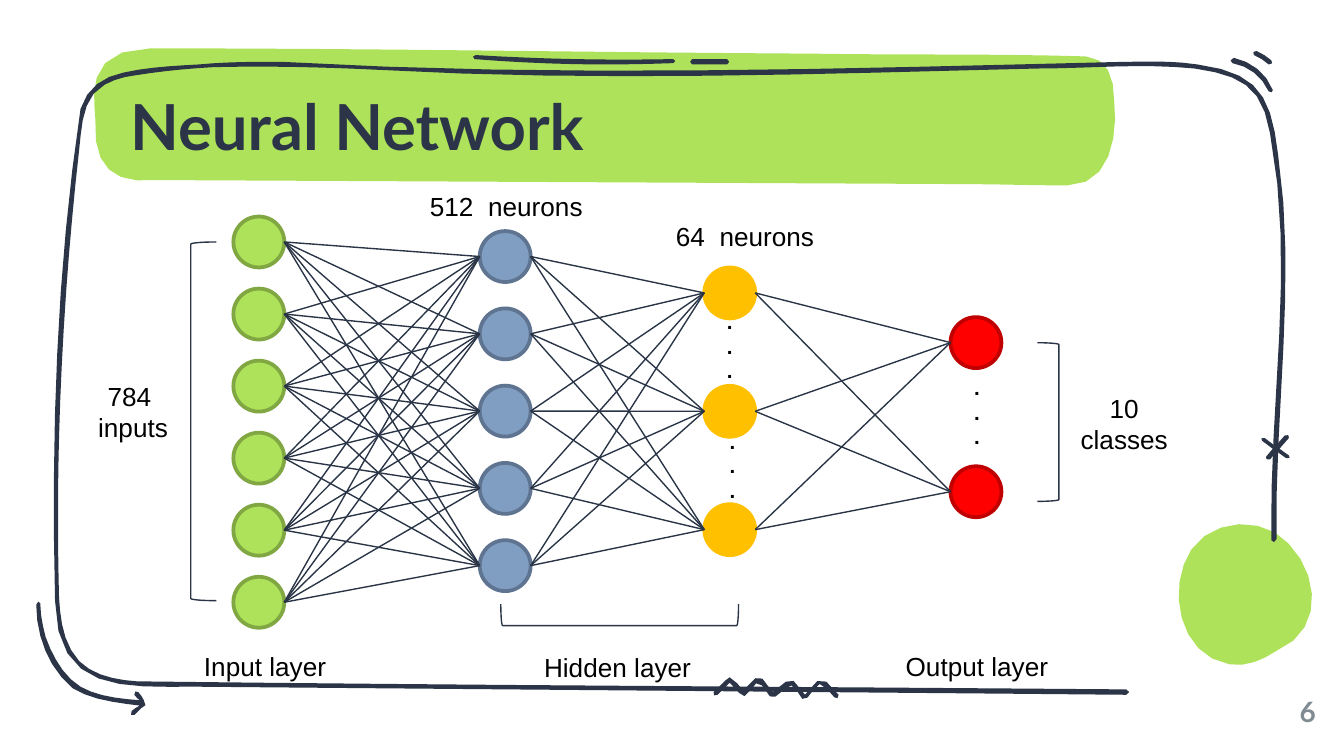
from collections import namedtuple
from itertools import pairwise, product
from math import dist

from pptx import Presentation
from pptx.dml.color import RGBColor
from pptx.enum.shapes import MSO_CONNECTOR as Connector, MSO_SHAPE as Shape
from pptx.enum.text import MSO_ANCHOR as Anchor, PP_ALIGN as Align
from pptx.oxml.ns import qn
from pptx.util import Pt
from lxml.etree import SubElement

Box = namedtuple("Box", "left top width height")

GREEN, INK, WIRE = "AEE25A", "2B3547", "293446"
STEP = 0.72  # points per unit of the outlines below

# Outlines: two numbers are a corner, six are a Bezier curve
BLOB = [(967, 414), (955, 390, 918, 381, 896, 400), (871, 422, 866, 474, 902, 490),
        (914, 495, 926, 493, 938, 489), (975, 484, 984, 444, 967, 414)]
BANNER = [(829, 74), (829, 58, 824, 43, 808, 42), (741, 40, 675, 41, 608, 40),
          (435, 39, 285, 36, 112, 36), (60, 36, 71, 77, 71, 89),
          (69, 125, 85, 137, 116, 134), (316, 135), (715, 137),
          (742, 137, 768, 138, 794, 138), (826, 138, 832, 102, 829, 74)]
BORDER = [(951, 115), (946, 72, 937, 54, 891, 48), (871, 45, 857, 46, 837, 46),
          (628, 51, 418, 58, 209, 46), (189, 46, 168, 46, 148, 48),
          (129, 49, 110, 50, 92, 54), (77, 57, 65, 65, 60, 81),
          (42, 201, 38, 325, 41, 447), (42, 516, 92, 511, 145, 511),
          (375, 513, 609, 515, 838, 517), (841, 517, 841, 513, 838, 513),
          (593, 511, 347, 510, 102, 507), (87, 506, 70, 503, 59, 492),
          (47, 479, 45, 461, 44, 445), (43, 405, 43, 365, 44, 325),
          (46, 253, 51, 182, 59, 111), (61, 94, 61, 72, 78, 63),
          (85, 59, 93, 57, 101, 56), (120, 53, 140, 51, 159, 50),
          (200, 49, 241, 50, 282, 52), (445, 61, 609, 55, 772, 51),
          (812, 51, 848, 47, 889, 51), (922, 56, 939, 63, 945, 99),
          (964, 199, 944, 299, 946, 402), (946, 405, 950, 403, 950, 401),
          (948, 306, 965, 210, 951, 115)]
LONG_DASH = [(501, 44), (452, 45, 403, 44, 354, 41), (352, 40, 351, 44, 353, 44),
             (402, 48, 451, 49, 501, 47), (503, 47, 503, 44, 501, 44)]
SHORT_DASH = [(541, 44), (515, 44), (513, 44, 513, 48, 515, 48), (541, 48),
              (543, 48, 543, 44, 541, 44)]
LONG_ARC = [(947, 67), (942, 54, 931, 46, 918, 43), (915, 43, 915, 47, 917, 47),
            (929, 49, 939, 57, 944, 68), (945, 70, 948, 68, 947, 67)]
SHORT_ARC = [(946, 45), (943, 42, 939, 40, 935, 38), (933, 37, 931, 40, 933, 41),
             (937, 43, 941, 45, 944, 48), (946, 49, 948, 46, 946, 45)]
ARROW = [(107, 521), (106, 519, 105, 517, 103, 515), (102, 513, 99, 515, 100, 517),
         (101, 518, 103, 521, 104, 521), (89, 520, 72, 518, 60, 511),
         (47, 503, 39, 488, 34, 474), (32, 466, 30, 458, 30, 449),
         (30, 447, 27, 447, 27, 450), (27, 473, 36, 497, 54, 512),
         (68, 521, 88, 523, 104, 525), (101, 526, 100, 528, 98, 529),
         (96, 531, 98, 534, 100, 532), (105, 527), (108, 526, 110, 524, 107, 521)]
CROSS = [(959, 339), (952, 334), (954, 331, 957, 329, 959, 326),
         (960, 325, 958, 322, 956, 324), (949, 332), (941, 326),
         (939, 325, 937, 327, 939, 328), (947, 334), (942, 340),
         (941, 341, 943, 343, 945, 342), (950, 336), (957, 341),
         (959, 342, 961, 340, 959, 339)]
ZIGZAG = [(624, 517), (612, 503, 611, 501, 599, 517), (587, 500, 589, 505, 575, 515),
          (564, 500, 566, 500, 553, 514), (551, 510, 547, 507, 543, 504),
          (541, 504, 534, 513, 531, 515), (530, 517, 532, 519, 534, 517), (543, 508),
          (550, 512, 551, 521, 554, 518), (559, 513), (561, 510, 564, 505, 567, 510),
          (576, 523, 573, 521, 585, 512), (588, 507, 590, 511, 593, 514), (597, 520),
          (600, 524, 606, 510, 610, 509), (613, 508, 618, 517, 621, 519),
          (622, 521, 625, 519, 624, 517)]
DOODLES = [(BLOB, GREEN, 345.3), (BANNER, GREEN, 0)] + [
    (outline, INK, 0) for outline in (BORDER, LONG_DASH, SHORT_DASH, LONG_ARC,
                                      ARROW, CROSS, ZIGZAG, SHORT_ARC)]

# Layers: left, top, gap between neurons, count, fill, line
NEURON = 27.3
LAYERS = [(80, 18, 38.6, 6, GREEN, "81A743"),
          (212, 25.8, 41.4, 5, "809DC2", "5F7490"),
          (332.3, 45.3, 63.4, 3, "FFC000", "FFC000"),
          (464.2, 71.9, 79.9, 2, "FF0000", "C00000")]
BRACKETS = [(Box(281.2, 167.7, 11.5, 127.4), 90),
            (Box(510.8, 85.6, 11.5, 85), 0),
            (Box(57.2, 31.6, 13.7, 192.2), 180)]
LABELS = [("Hidden layer", Box(239.4, 247.6, 93.6, 24.5), {}),
          ("Input layer", Box(57.2, 246.9, 80.6, 24.5), {}),
          ("Output layer", Box(433.1, 246.9, 91.4, 24.5), {}),
          ("10 classes", Box(520.2, 108.6, 74.2, 41), {"align": Align.CENTER, "wrap": True}),
          ("784 \ninputs", Box(0.4, 102.2, 51.8, 41), {"align": Align.CENTER}),
          ("512  neurons", Box(178.2, 0.6, 100.1, 24.5), {}),
          ("64  neurons", Box(310, 16.5, 92.9, 24.5), {})]
DOTS = [(469.8, 99.3), (337.3, 64), (338.8, 128.1)]


def color(code):
    return RGBColor.from_string(code)


def lengths(box):
    return [Pt(value) for value in box]


def inside(outer, box):
    return Box(outer.left + box.left, outer.top + box.top, box.width, box.height)


def paint(shape, fill=None, line=None, width=0.75):
    shape.shadow.inherit = False
    for part, code in ((shape.fill, fill), (shape.line.fill, line)):
        if code:
            part.solid()
            part.fore_color.rgb = color(code)
        else:
            part.background()
    if line:
        shape.line.width = Pt(width)


def add_text(page, text, box, size=14, name="Arial", code="000000", bold=False,
             align=Align.LEFT, wrap=False, inset=None, anchor=Anchor.TOP, spacing=1.0):
    frame = page.shapes.add_textbox(*lengths(box)).text_frame
    frame.word_wrap, frame.vertical_anchor = wrap, anchor
    if inset is not None:
        for side in ("left", "top", "right", "bottom"):
            setattr(frame, f"margin_{side}", Pt(inset))
    frame.text = text
    for para in frame.paragraphs:
        para.alignment, para.line_spacing = align, spacing
        for span in para.runs:
            for key, value in {"size": Pt(size), "name": name, "bold": bold}.items():
                setattr(span.font, key, value)
            span.font.color.rgb = color(code)


def trace(outline):
    """Turn corners and Bezier curves into points, with more on longer curves."""
    points = [outline[0]]
    for segment in outline[1:]:
        if len(segment) == 2:
            points.append(segment)
            continue
        knots = [points[-1], segment[:2], segment[2:4], segment[4:]]
        parts = 2 + min(6, int(dist(knots[0], knots[3]) // 15))
        for part in range(1, parts + 1):
            t = part / parts
            weights = ((1 - t) ** 3, 3 * t * (1 - t) ** 2, 3 * t * t * (1 - t), t ** 3)
            points.append(tuple(sum(w * knot[axis] for w, knot in zip(weights, knots))
                                for axis in (0, 1)))
    return [(Pt(x * STEP), Pt(y * STEP)) for x, y in points]


def add_backdrop(page, box):
    for outline, fill, angle in DOODLES:
        first, *rest = trace(outline)
        builder = page.shapes.build_freeform(*first)
        builder.add_line_segments(rest, close=True)
        doodle = builder.convert_to_shape(Pt(box.left), Pt(box.top))
        doodle.rotation = angle
        paint(doodle, fill)


def add_wire(page, start, end):
    wire = page.shapes.add_connector(Connector.STRAIGHT, *lengths(start + end))
    wire.line.color.rgb = color(WIRE)
    wire.line.width = Pt(0.75)
    SubElement(wire._element.spPr, qn("a:effectLst"))


def add_network(page, box):
    group = page.shapes.add_group_shape()

    # Neurons
    for left, top, gap, count, fill, line in LAYERS:
        for row in range(count):
            spot = inside(box, Box(left, top + row * gap, NEURON, NEURON))
            paint(group.shapes.add_shape(Shape.OVAL, *lengths(spot)), fill, line, 2)

    # Wires from every neuron to every neuron of the next layer
    def ports(layer, shift):
        left, top, gap, count = layer[:4]
        return [(box.left + left + shift, box.top + top + NEURON / 2 + row * gap)
                for row in range(count)]

    for source, target in pairwise(LAYERS):
        for start, end in product(ports(source, NEURON), ports(target, 0)):
            add_wire(group, start, end)

    # Brackets
    for place, angle in BRACKETS:
        bracket = group.shapes.add_shape(Shape.RIGHT_BRACKET, *lengths(inside(box, place)))
        bracket.rotation = angle
        paint(bracket, line=WIRE)

    # Labels and dots
    for text, place, style in LABELS:
        add_text(group, text, inside(box, place), **style)
    for left, top in DOTS:
        add_text(group, ".\n.\n.", inside(box, Box(left, top, 17.3, 47.5)), size=11, bold=True)


def add_heading(page, box):
    add_text(page, "Neural Network", box, 34, "Lato", INK, True,
             wrap=True, inset=0, anchor=Anchor.MIDDLE, spacing=0.9)


def add_page_number(page, box):
    add_text(page, "6", box, 15, "Lato", "7F8B91", True, Align.RIGHT,
             wrap=True, inset=0, anchor=Anchor.MIDDLE)


def main():
    deck = Presentation()
    deck.slide_width, deck.slide_height = Pt(720), Pt(405)
    page = deck.slides.add_slide(deck.slide_layouts[6])
    add_backdrop(page, Box(0, 0, 720, 405))
    add_heading(page, Box(69.8, 54, 506.2, 31))
    add_page_number(page, Box(661.7, 369.4, 43.2, 23.8))
    add_network(page, Box(45, 98, 595, 275))
    deck.save("out.pptx")


if __name__ == "__main__":
    main()
